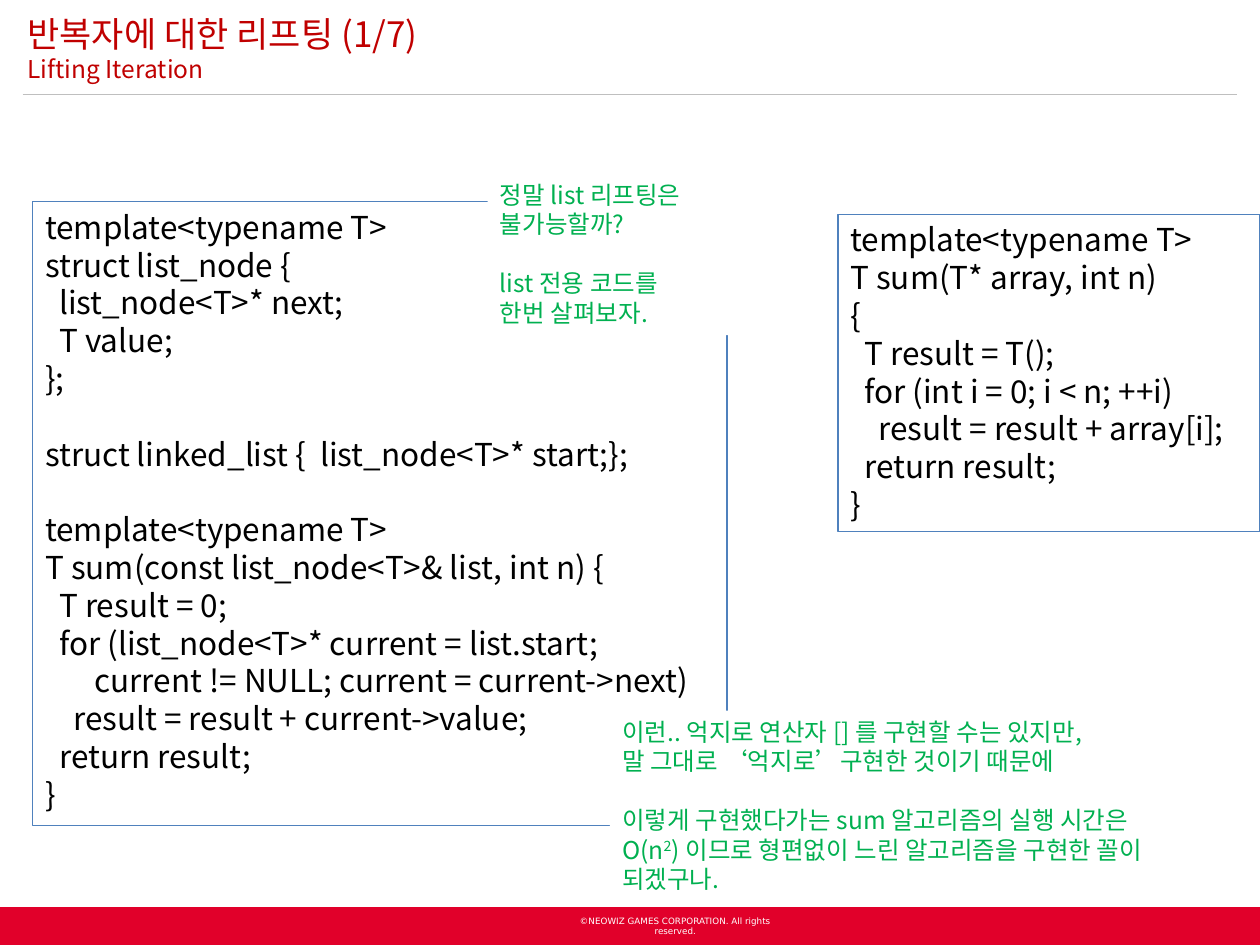
from pptx import Presentation
from pptx.dml.color import RGBColor as Rgb
from pptx.enum.shapes import MSO_CONNECTOR as Link, MSO_SHAPE as Form
from pptx.enum.text import MSO_ANCHOR as Anchor, PP_ALIGN as Align
from pptx.oxml.ns import qn
from pptx.util import Inches, Pt
from lxml.etree import SubElement

# Content: an empty code line becomes spacing above the next line
ARRAY = """template<typename T>
T sum(T* array, int n)
{
  T result = T();
  for (int i = 0; i < n; ++i)
    result = result + array[i];
  return result;
}""".split("\n")
LIST = """template<typename T>
struct list_node {
  list_node<T>* next;
  T value;
};

struct linked_list {  list_node<T>* start;};

template<typename T>
T sum(const list_node<T>& list, int n) {
  T result = 0;
  for (list_node<T>* current = list.start;
       current != NULL; current = current->next)
    result = result + current->value;
  return result;
}""".split("\n")
ASK = ["정말 list 리프팅은", "불가능할까?", "", "list 전용 코드를", "한번 살펴보자."]
REPLY = [
    "이런.. 억지로 연산자 [] 를 구현할 수는 있지만,",
    "말 그대로 ‘억지로’구현한 것이기 때문에",
    "",
    "이렇게 구현했다가는 sum 알고리즘의 실행 시간은",
    "O(n^2^) 이므로 형편없이 느린 알고리즘을 구현한 꼴이 되겠구나.",
]
TITLE = ["반복자에 대한 리프팅 (1/7)", "Lifting Iteration"]
RIGHTS = ["©NEOWIZ GAMES CORPORATION. All rights reserved."]

# Look
HUES = {"bar": "E1002A", "rule": "BFBFBF", "edge": "4F81BD", "code": "000000",
        "note": "00B050", "title": "C00000", "white": "FFFFFF"}
SANS, KOREAN = "DejaVu Sans", "Noto Sans CJK KR"
LEAD = 1.2  # line height as a share of the text size
CODE = {"size": 18, "hue": "code", "edge": "edge"}
NOTE = {"size": 14, "hue": "note", "fill": "white"}

# Grid of 100 columns and 75 rows: left, top, wide, high
BAR = (0, 72, 100, 3)
MASKS = [(36.8, 74.4, 8.2, 0.6), (43.6, 72, 1.4, 3)]
BOXES = [
    ((66.5, 17, 33.5, 25.2), ARRAY, CODE),
    ((2.6, 16, 55.1, 49.5), LIST, CODE),
    ((38.7, 13.8, 21.3, 12.8), ASK, NOTE),
    ((48.4, 56.4, 50.4, 15.1), REPLY, NOTE),
]

deck = Presentation()
deck.slide_width, deck.slide_height = Inches(10), Inches(7.5)
CELL = deck.slide_width / 100
slide = deck.slides.add_slide(deck.slide_layouts[6])
shapes = slide.shapes


def hue(key):
    return Rgb.from_string(HUES[key])


def grid(spot):
    return [round(n * CELL) for n in spot]


def block(spot, fill=None, edge=None):
    box = shapes.add_shape(Form.RECTANGLE, *grid(spot))
    box.shadow.inherit = False
    if fill:
        box.fill.solid()
        box.fill.fore_color.rgb = hue(fill)
    else:
        box.fill.background()
    if edge:
        box.line.color.rgb = hue(edge)
        box.line.width = Pt(0.75)
    else:
        box.line.fill.background()
    return box


def write(box, lines, sizes, tone, face=KOREAN, align=Align.LEFT, **frame):
    """Fill a box; text between carets is raised."""
    text = box.text_frame
    for key, val in {"word_wrap": True, "vertical_anchor": Anchor.TOP, **frame}.items():
        setattr(text, key, val)
    gap, first = 0, True
    for line, size in zip(lines, sizes):
        if not line:
            gap = size * LEAD
            continue
        para = text.paragraphs[0] if first else text.add_paragraph()
        para.alignment = align
        if gap:
            para.space_before = Pt(round(gap, 1))
        gap, first = 0, False
        for i, part in enumerate(line.split("^")):
            run = para.add_run()
            run.text = part
            for key, val in {"size": Pt(size), "name": face}.items():
                setattr(run.font, key, val)
            run.font.color.rgb = hue(tone)
            props = run._r.get_or_add_rPr()
            SubElement(props, qn("a:ea")).set("typeface", face)
            if i % 2:
                props.set("baseline", "30000")


# Footer band and copyright line
block(BAR, "bar")
foot = shapes.add_textbox(*grid((44.5, 72.4, 18.2, 1.5)))
inset = dict.fromkeys(["margin_left", "margin_right", "margin_top", "margin_bottom"], Pt(2))
write(foot, RIGHTS, [5], "white", SANS, Align.CENTER, **{**inset, "word_wrap": False})
for spot in MASKS:
    block(spot, "bar")

# Rule below the title
left, top, right = grid((1.8, 7.5, 98.2))
rule = shapes.add_connector(Link.STRAIGHT, left, top, right, top)
rule.line.color.rgb = hue("rule")
rule.line.width = Pt(0.5)
SubElement(rule._element.spPr, qn("a:effectLst"))

# Code boxes, then the notes above them
for spot, lines, look in BOXES:
    box = block(spot, look.get("fill"), look.get("edge"))
    write(box, lines, [look["size"]] * len(lines), look["hue"])

# Title
head = shapes.add_textbox(*grid((1.2, 0, 90, 7.6)))
write(head, TITLE, [20, 14], "title", vertical_anchor=Anchor.MIDDLE)

deck.save("out.pptx")
